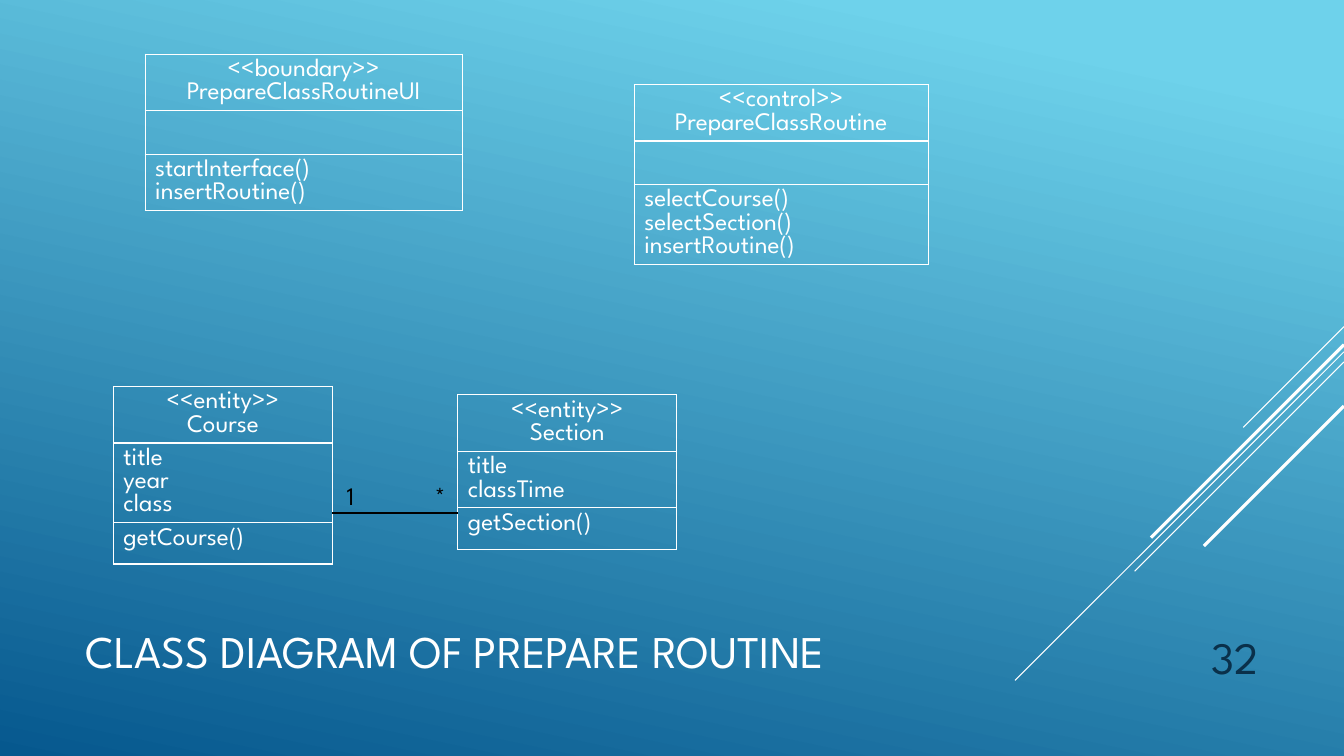
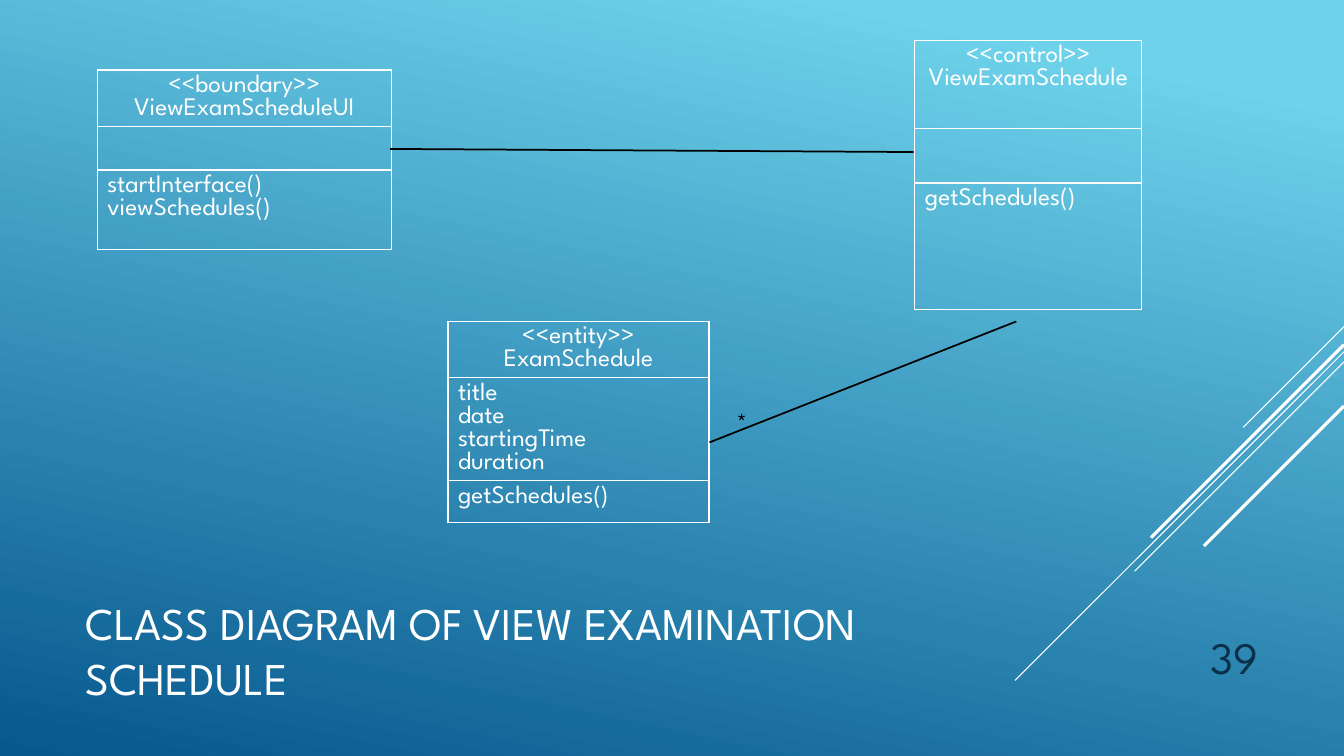
from lxml.etree import SubElement
from pptx import Presentation
from pptx.dml.color import RGBColor
from pptx.enum.shapes import MSO_CONNECTOR
from pptx.enum.text import MSO_ANCHOR, PP_ALIGN
from pptx.oxml.ns import qn
from pptx.util import Pt

COLORS = {"white": "FFFFFF", "black": "000000", "number": "0A304A",
          "sky": "6ED2EB", "deep": "06588E"}
FORMATS = {
    "title": {"size": 32.4, "color": "white", "leading": 39.3},
    "member": {"size": 18, "color": "white", "leading": 16.5},
    "multiplicity": {"size": 18, "color": "black", "leading": 21.6},
    "number": {"size": 32, "color": "number", "leading": 29.4},
}
STREAKS = [
    (960, 233.3, 888, 305.3, 0.75),
    (960, 251.3, 725, 486, 0.75),
    (960, 258.5, 810.5, 408, 0.75),
    (960, 246.2, 822.2, 384, 2.25),
    (960, 290, 860, 390, 2.25),
]


def rgb(color):
    return RGBColor.from_string(COLORS[color])


def set_all(target, values):
    for attribute, value in values.items():
        setattr(target, attribute, value)


class Diagram:
    font_name = "League Spartan"
    member_pitch = 16.6
    cell_padding = 7.2

    def __init__(self):
        self.deck = Presentation()
        set_all(self.deck, {"slide_width": Pt(960), "slide_height": Pt(540)})
        self.slide = None

    def page(self, title, number):
        self.slide = self.deck.slides.add_slide(self.deck.slide_layouts[6])
        backdrop = self.slide.background.fill
        backdrop.gradient()
        backdrop.gradient_angle = 258
        for stop, position, color in zip(backdrop.gradient_stops, (0.1, 1), ("sky", "deep")):
            stop.position = position
            stop.color.rgb = rgb(color)
        for x1, y1, x2, y2, weight in STREAKS:
            self.line(x1, y1, x2, y2, "white", weight)
        self.text(title, 54, 419, 672, 90, "title", anchor=MSO_ANCHOR.MIDDLE)
        self.text(str(number), 816, 439.2, 90, 52.6, "number", PP_ALIGN.RIGHT, MSO_ANCHOR.BOTTOM)

    def line(self, x1, y1, x2, y2, color="black", weight=1.25):
        link = self.slide.shapes.add_connector(
            MSO_CONNECTOR.STRAIGHT, Pt(x1), Pt(y1), Pt(x2), Pt(y2))
        link.line.color.rgb = rgb(color)
        link.line.width = Pt(weight)
        SubElement(link._element.spPr, qn("a:effectLst"))

    def fill_lines(self, frame, lines, style, align):
        look = FORMATS[style]
        for index, words in enumerate(lines):
            paragraph = frame.add_paragraph() if index else frame.paragraphs[0]
            set_all(paragraph, {"alignment": align, "line_spacing": Pt(look["leading"])})
            run = paragraph.add_run()
            run.text = words
            set_all(run.font, {"name": self.font_name, "size": Pt(look["size"])})
            run.font.color.rgb = rgb(look["color"])

    def text(self, words, left, top, width, height, style,
             align=PP_ALIGN.LEFT, anchor=MSO_ANCHOR.TOP):
        frame = self.slide.shapes.add_textbox(Pt(left), Pt(top), Pt(width), Pt(height)).text_frame
        set_all(frame, {"word_wrap": True, "vertical_anchor": anchor})
        self.fill_lines(frame, [words], style, align)

    def multiplicity(self, mark, left, top):
        self.text(mark, left, top, 27, 28.8, "multiplicity")

    def border(self, cell):
        properties = cell._tc.get_or_add_tcPr()
        for side in ("a:lnL", "a:lnR", "a:lnT", "a:lnB"):
            edge = SubElement(properties, qn(side), w=str(Pt(1)))
            paint = SubElement(edge, qn("a:solidFill"))
            SubElement(paint, qn("a:srgbClr"), val=COLORS["white"])

    def uml_class(self, left, top, width, stereotype, name,
                  fields=(), methods=(), minimums=(0, 31, 29.5)):
        sections = [(f"<<{stereotype}>>", name), fields, methods]
        heights = [max(least, len(lines) * self.member_pitch + self.cell_padding)
                   for least, lines in zip(minimums, sections)]
        table = self.slide.shapes.add_table(
            3, 1, Pt(left), Pt(top), Pt(width), Pt(sum(heights))).table
        set_all(table, {"first_row": False, "horz_banding": False})
        for index, (lines, height) in enumerate(zip(sections, heights)):
            table.rows[index].height = Pt(height)
            cell = table.cell(index, 0)
            self.border(cell)
            cell.fill.background()
            self.fill_lines(cell.text_frame, lines, "member",
                            PP_ALIGN.LEFT if index else PP_ALIGN.CENTER)


def main():
    diagram = Diagram()

    diagram.page("CLASS DIAGRAM OF PREPARE ROUTINE", 32)
    diagram.uml_class(103.7, 38.7, 226.5, "boundary", "PrepareClassRoutineUI",
                      methods=("startInterface()", "insertRoutine()"))
    diagram.uml_class(453, 60.3, 210, "control", "PrepareClassRoutine",
                      methods=("selectCourse()", "selectSection()", "insertRoutine()"))
    diagram.uml_class(81, 276, 156.5, "entity", "Course",
                      ("title", "year", "class"), ("getCourse()",))
    diagram.uml_class(327, 282, 156.5, "entity", "Section",
                      ("title", "classTime"), ("getSection()",))
    diagram.line(237, 366.5, 327, 366.5)
    diagram.multiplicity("1", 240.5, 339.8)
    diagram.multiplicity("*", 303.5, 339.8)

    diagram.page("CLASS DIAGRAM OF VIEW EXAMINATION SCHEDULE", 39)
    diagram.uml_class(69.5, 50, 210, "boundary", "ViewExamScheduleUI",
                      methods=("startInterface()", "viewSchedules()"), minimums=(0, 31, 57))
    diagram.uml_class(653.5, 28.8, 162, "control", "ViewExamSchedule",
                      methods=("getSchedules()",), minimums=(63, 39, 90.5))
    diagram.uml_class(320, 229.5, 186.5, "entity", "ExamSchedule",
                      ("title", "date", "startingTime", "duration"), ("getSchedules()",))
    diagram.line(278.6, 106.4, 652.6, 108.6)
    diagram.line(726, 229.6, 506.8, 316)
    diagram.multiplicity("*", 519, 286.6)

    diagram.deck.save("out.pptx")


if __name__ == "__main__":
    main()
